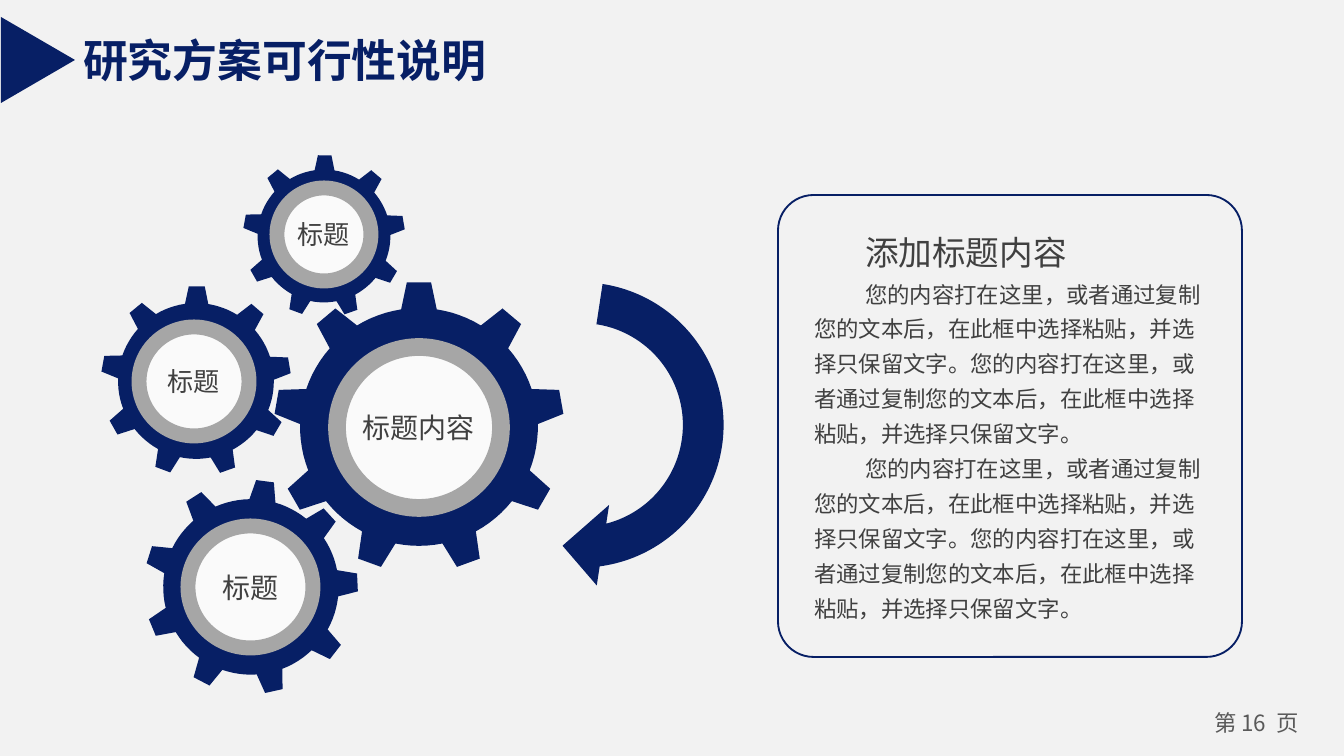
from math import cos, radians, sin

from lxml import etree
from pptx import Presentation
from pptx.dml.color import RGBColor
from pptx.enum.shapes import MSO_SHAPE
from pptx.enum.text import MSO_ANCHOR, MSO_AUTO_SIZE, PP_ALIGN
from pptx.oxml.ns import qn
from pptx.util import Pt

ELLIPSE = MSO_SHAPE.OVAL
TRIANGLE = MSO_SHAPE.ISOSCELES_TRIANGLE
ROUND_RECT = MSO_SHAPE.ROUNDED_RECTANGLE
CIRCULAR_ARROW = MSO_SHAPE.CIRCULAR_ARROW
LEFT, CENTER = PP_ALIGN.LEFT, PP_ALIGN.CENTER
TOP, MIDDLE = MSO_ANCHOR.TOP, MSO_ANCHOR.MIDDLE
NO_AUTOSIZE = MSO_AUTO_SIZE.NONE

SCALE = 914400 / 134.4
FONT = "Noto Sans CJK SC"
NAVY, GRAY, DARK = "071F65", "A6A6A6", "404040"
TEETH = 9
BODY = "您的内容打在这里，或者通过复制您的文本后，在此框中选择粘贴，并选择只保留文字。" * 2

GEARS = [
    (419, 427, 145, 0, (337, 347, 164, 161), 9.5, "标题内容", 15),
    (251, 587, 107, 7.6, (188, 526, 125, 122), 8, "标题", 15),
    (196, 381, 95, 0.5, (139, 327, 110, 109), 8, "标题", 14),
    (324, 236, 81, 0.5, (277, 188, 94, 93), 8, "标题", 14),
]


def px(n):
    return round(n * SCALE)


def rgb(value):
    return RGBColor.from_string(value)


def paint(sp, fill=None, line=None, width=1):
    sp.shadow.inherit = False
    if fill:
        sp.fill.solid()
        sp.fill.fore_color.rgb = rgb(fill)
    else:
        sp.fill.background()
    if line:
        sp.line.color.rgb = rgb(line)
        sp.line.width = Pt(width)
    else:
        sp.line.fill.background()


def add_shape(s, kind, box, rotation=0, **look):
    sp = s.shapes.add_shape(kind, *map(px, box))
    sp.rotation = rotation
    paint(sp, **look)
    return sp


def set_frame(tf, inset=(0, 0), anchor=TOP, wrap=True):
    tf.auto_size = NO_AUTOSIZE
    tf.word_wrap = wrap
    tf.vertical_anchor = anchor
    tf.margin_left = tf.margin_right = px(inset[0])
    tf.margin_top = tf.margin_bottom = px(inset[1])


def write(p, text, size=12, color=DARK, font=FONT, bold=False, align=LEFT,
          spacing=None, indent=0):
    p.alignment = align
    if spacing:
        p.line_spacing = spacing
    if indent:
        p._p.get_or_add_pPr().set("indent", str(px(indent)))
    r = p.add_run()
    r.text = text
    r.font.size = Pt(size)
    r.font.bold = bold
    r.font.color.rgb = rgb(color)
    r.font.name = font
    etree.SubElement(r._r.get_or_add_rPr(), qn("a:ea"), typeface=FONT)


def gear_points(cx, cy, radius, turn):
    root = radius * 0.82
    profile = [(-8.6, root), (-4.8, radius), (4.8, radius)]
    profile += [(8.6 + 3.8 * i, root) for i in range(6)]
    for tooth in range(TEETH):
        for angle, distance in profile:
            a = radians(turn + tooth * 360 / TEETH + angle)
            yield px(cx + distance * sin(a)), px(cy - distance * cos(a))


def add_gear(s, cx, cy, radius, turn, hub, ring, label, size):
    start, *rest = gear_points(cx, cy, radius, turn)
    builder = s.shapes.build_freeform(*start, scale=1.0)
    builder.add_line_segments(rest, close=True)
    paint(builder.convert_to_shape(), NAVY)
    sp = add_shape(s, ELLIPSE, hub, fill="FAFAFA", line=GRAY, width=ring)
    set_frame(sp.text_frame, anchor=MIDDLE)
    write(sp.text_frame.paragraphs[0], label, size=size, align=CENTER)


def add_text_box(s, box, inset):
    tf = s.shapes.add_textbox(*map(px, box)).text_frame
    set_frame(tf, inset)
    return tf


def set_title(s, text):
    sp = s.shapes.title
    sp.left, sp.top, sp.width, sp.height = map(px, (70, 26, 434, 67))
    set_frame(sp.text_frame, (13, 7), MIDDLE, wrap=False)
    write(sp.text_frame.paragraphs[0], text, size=24, color=NAVY,
          font="Arial", bold=True)


def add_panel(s):
    panel = add_shape(s, ROUND_RECT, (778, 195, 464, 462), line=NAVY)
    panel.adjustments[0] = 0.077
    tf = add_text_box(s, (801, 185, 419, 480), (13, 7))
    write(tf.paragraphs[0], "添加标题内容", size=18, spacing=2.0, indent=51)
    for text in (BODY, BODY):
        write(tf.add_paragraph(), text, spacing=1.3, indent=51)


def main():
    prs = Presentation()
    prs.slide_width, prs.slide_height = px(1344), px(756)
    s = prs.slides.add_slide(prs.slide_layouts[5])
    s.background.fill.solid()
    s.background.fill.fore_color.rgb = rgb("F2F2F2")
    set_title(s, "研究方案可行性说明")
    add_shape(s, TRIANGLE, (-5, 23, 86, 74), rotation=90, fill=NAVY)
    for gear in GEARS:
        add_gear(s, *gear)
    add_shape(s, CIRCULAR_ARROW, (418, 262, 326, 326), rotation=98.7, fill=NAVY)
    add_panel(s)
    page = add_text_box(s, (1196, 704, 121, 40), (9, 5))
    write(page.paragraphs[0], "第 16  页", color="595959", align=CENTER)
    prs.save("out.pptx")


if __name__ == "__main__":
    main()
